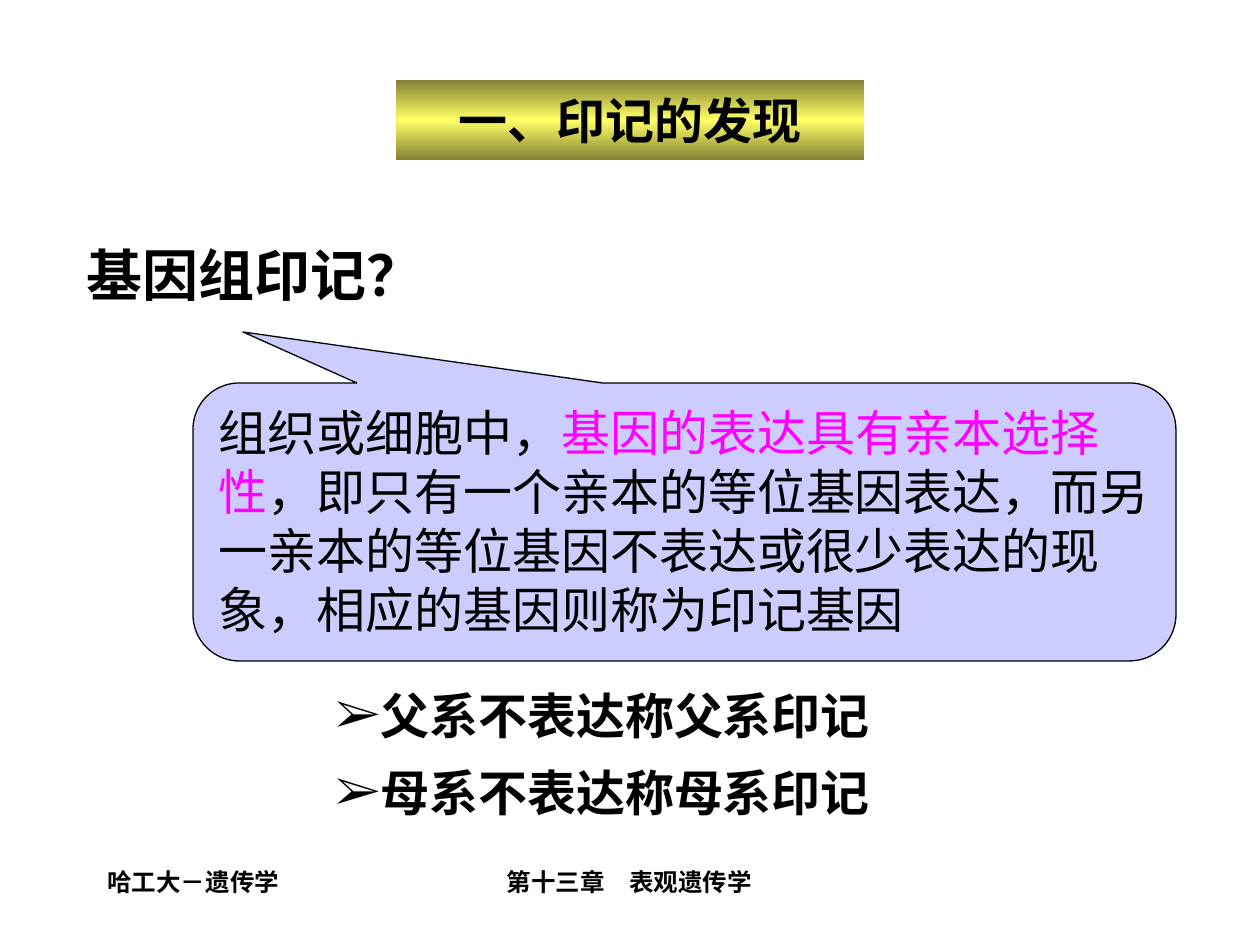
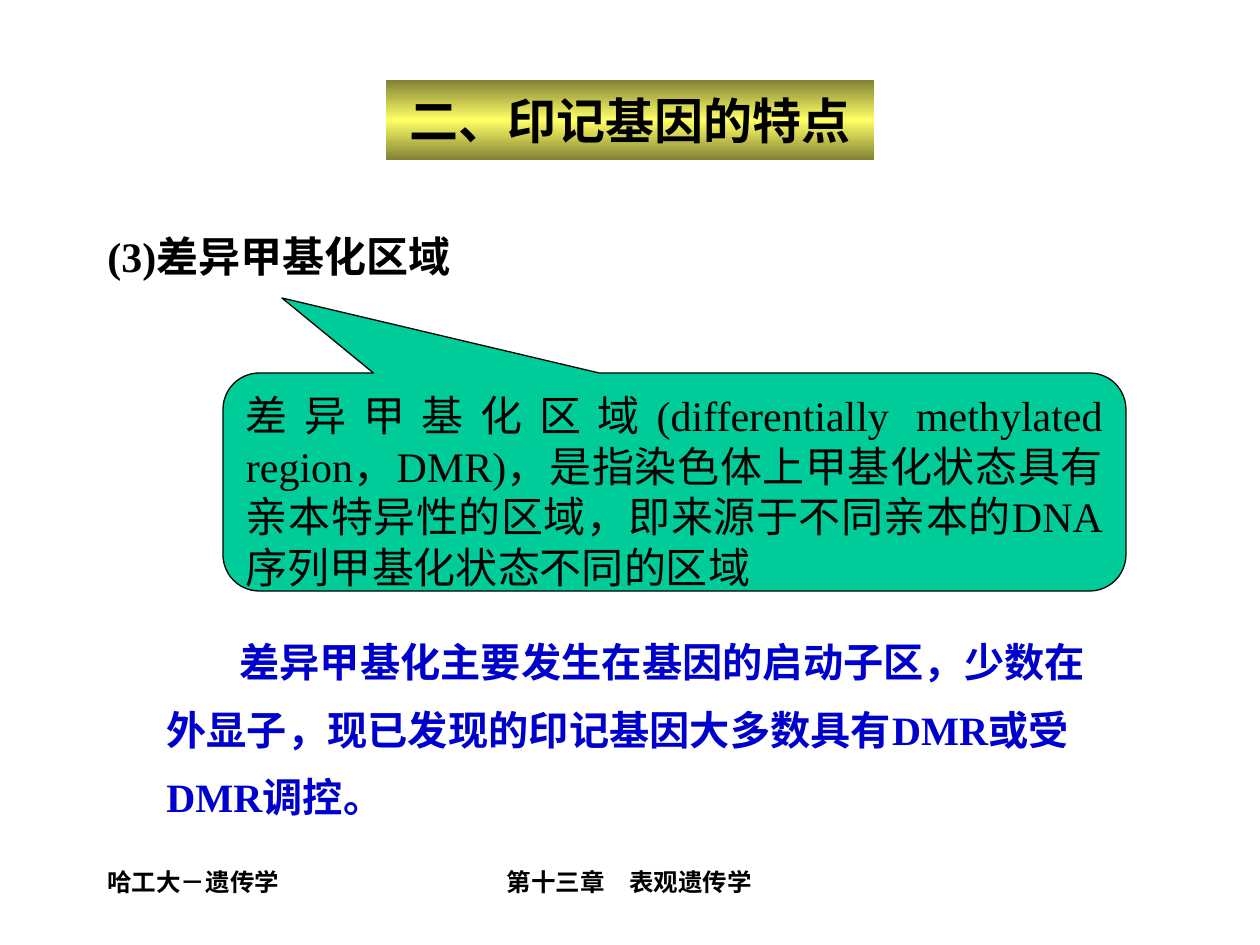
"""Build two slides about genomic imprinting."""
import copy

import lxml.etree
import pptx
import pptx.dml.color
import pptx.enum.shapes
import pptx.enum.text
import pptx.oxml.ns
import pptx.util

PX = 914400 / 126
FONT = "Times New Roman"
COLORS = {
    "black": "000000", "magenta": "FF00FF", "blue": "0000CC",
    "lavender": "CCCCFF", "green": "00CC99",
    "band edge": "828234", "band middle": "FFFF66",
}
ALIGN = pptx.enum.text.PP_ALIGN
BAND_TOP, BAND_HEIGHT = 80, 80
FOOTERS = [
    ("哈工大－遗传学", (95, 861, 262, 63), ALIGN.LEFT),
    ("第十三章　表观遗传学", (430, 861, 399, 63), ALIGN.CENTER),
]
SLIDES = [
    {
        "title": "一、印记的发现",
        "band width": 468,
        "heading": {"paragraphs": ["基因组印记？"], "box": (74, 234, 427, 81), "size": 32},
        "callout": {
            "runs": [
                ("组织或细胞中，", "black"),
                ("基因的表达具有亲本选择性", "magenta"),
                ("，即只有一个亲本的等位基因表达，而另一亲本的等位基因不表达或很少表达的现象，"
                 "相应的基因则称为印记基因", "black"),
            ],
            "box": (193, 383, 983, 278), "tip": (243, 332),
            "fill": "lavender", "size": 28, "align": ALIGN.LEFT,
        },
        "notes": {
            "paragraphs": ["父系不表达称父系印记", "母系不表达称母系印记"],
            "box": (323, 662, 630, 166), "size": 28, "spacing": 1.3, "bullet": "➢",
            "margin": 40, "indent": -40,
        },
    },
    {
        "title": "二、印记基因的特点",
        "band width": 488,
        "heading": {"paragraphs": ["(3)差异甲基化区域"], "box": (95, 224, 476, 71), "size": 24},
        "callout": {
            "runs": [
                ("差异甲基化区域(differentially methylated region，DMR)，"
                 "是指染色体上甲基化状态具有亲本特异性的区域，"
                 "即来源于不同亲本的DNA序列甲基化状态不同的区域", "black"),
            ],
            "box": (223, 373, 903, 218), "tip": (282, 298),
            "fill": "green", "size": 24, "align": ALIGN.JUSTIFY,
        },
        "notes": {
            "paragraphs": ["差异甲基化主要发生在基因的启动子区，少数在外显子，"
                           "现已发现的印记基因大多数具有DMR或受DMR调控。"],
            "box": (154, 612, 963, 215), "size": 23, "spacing": 1.4, "color": "blue",
            "indent": 73,
        },
    },
]


def emu(pixels):
    return round(pixels * PX)


def rgb(name):
    return pptx.dml.color.RGBColor.from_string(COLORS[name])


def set_font(paragraph, size, color="black", bold=True):
    font = paragraph.font
    font.name, font.size, font.bold = FONT, pptx.util.Pt(size), bold
    font.color.rgb = rgb(color)


def add_bullet(paragraph, character):
    properties = paragraph._p.get_or_add_pPr()
    for tag, attribute, value in (("a:buFont", "typeface", FONT),
                                  ("a:buChar", "char", character)):
        element = lxml.etree.SubElement(properties, pptx.oxml.ns.qn(tag))
        element.set(attribute, value)


def add_text(slide, paragraphs, box, size, color="black", align=ALIGN.LEFT,
             spacing=None, bullet=None, margin=0, indent=0):
    frame = slide.shapes.add_textbox(*map(emu, box)).text_frame
    frame.word_wrap = True
    frame.text = "\n".join(paragraphs)
    for paragraph in frame.paragraphs:
        if bullet:
            add_bullet(paragraph, bullet)
        properties = paragraph._p.get_or_add_pPr()
        properties.set("marL", str(emu(margin)))
        properties.set("indent", str(emu(indent)))
        paragraph.alignment = align
        paragraph.line_spacing = spacing
        set_font(paragraph, size, color)


def format_title(title, text, width, slide_width):
    title.left, title.top = (slide_width - emu(width)) // 2, emu(BAND_TOP)
    title.width, title.height = emu(width), emu(BAND_HEIGHT)
    title.fill.gradient()
    title.fill.gradient_angle = 90
    stops = title.fill._fill._gradFill.gsLst
    stops.append(copy.deepcopy(stops[0]))
    names = ("band edge", "band middle", "band edge")
    for position, (stop, name) in enumerate(zip(title.fill.gradient_stops, names)):
        stop.position = position / 2
        stop.color.rgb = rgb(name)
    frame = title.text_frame
    frame.text = text
    frame.auto_size = pptx.enum.text.MSO_AUTO_SIZE.NONE
    frame.vertical_anchor = pptx.enum.text.MSO_ANCHOR.MIDDLE
    frame.paragraphs[0].alignment = ALIGN.CENTER
    set_font(frame.paragraphs[0], 28)


def add_callout(slide, runs, box, tip, fill, size, align):
    left, top, width, height = box
    shape = slide.shapes.add_shape(
        pptx.enum.shapes.MSO_SHAPE.ROUNDED_RECTANGULAR_CALLOUT, *map(emu, box))
    shape.adjustments[0] = (tip[0] - left) / width - 0.5
    shape.adjustments[1] = (tip[1] - top) / height - 0.5
    shape.shadow.inherit = False
    shape.fill.solid()
    shape.fill.fore_color.rgb = rgb(fill)
    shape.line.color.rgb = rgb("black")
    shape.line.width = pptx.util.Pt(0.75)
    frame = shape.text_frame
    frame.word_wrap = True
    frame.vertical_anchor = pptx.enum.text.MSO_ANCHOR.TOP
    paragraph = frame.paragraphs[0]
    paragraph._p.get_or_add_pPr().set("hangingPunct", "0")
    paragraph.alignment = align
    set_font(paragraph, size, bold=False)
    for text, color in runs:
        run = paragraph.add_run()
        run.text = text
        run.font.color.rgb = rgb(color)


def main():
    presentation = pptx.Presentation()
    presentation.slide_width, presentation.slide_height = emu(1260), emu(945)
    for content in SLIDES:
        slide = presentation.slides.add_slide(presentation.slide_layouts[5])
        format_title(slide.shapes.title, content["title"], content["band width"],
                     presentation.slide_width)
        for text, box, align in FOOTERS:
            add_text(slide, [text], box, 14, align=align)
        add_text(slide, **content["heading"])
        add_callout(slide, **content["callout"])
        add_text(slide, **content["notes"])
    presentation.save("out.pptx")


if __name__ == "__main__":
    main()
